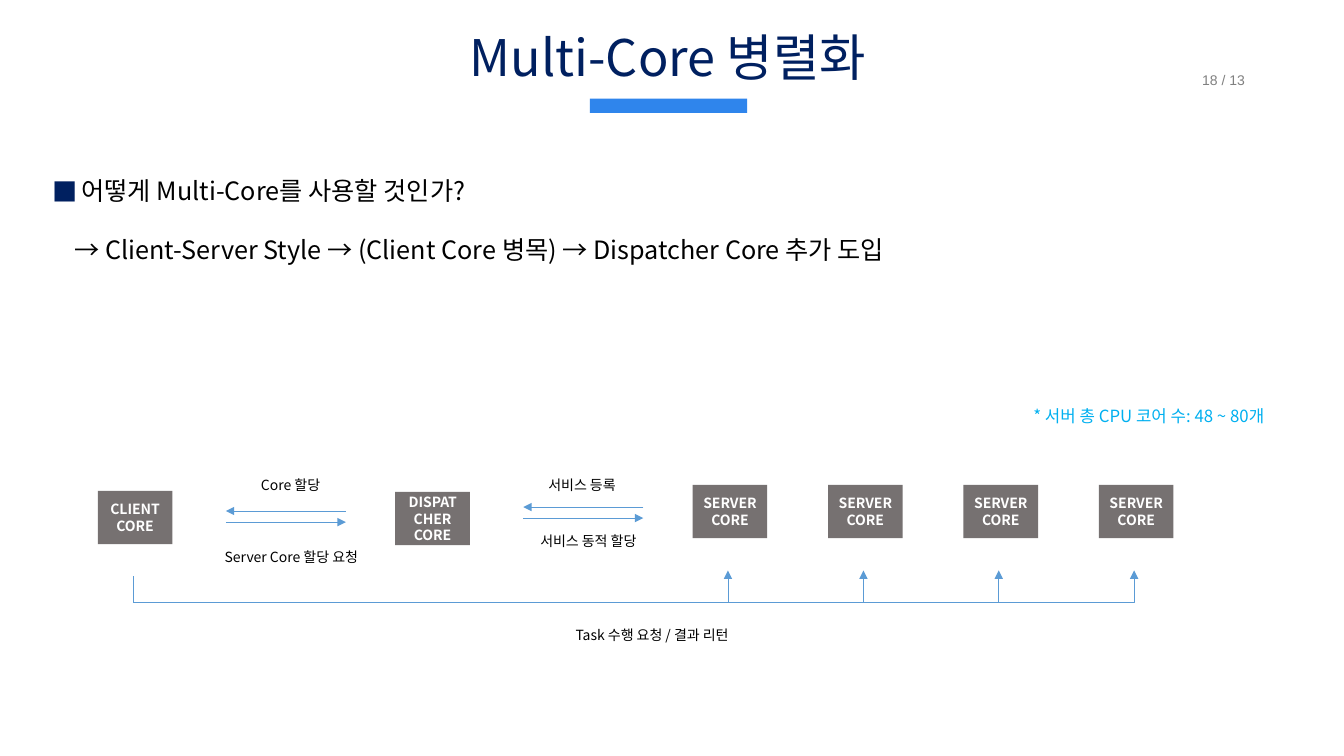
import pptx
import pptx.util
from lxml import etree
from pptx.dml.color import RGBColor
from pptx.enum.shapes import MSO_CONNECTOR, MSO_SHAPE
from pptx.enum.text import MSO_ANCHOR, PP_ALIGN
from pptx.oxml.ns import qn
from pptx.util import Inches

NAVY = RGBColor(0x00, 0x20, 0x60)
ACCENT_BLUE = RGBColor(0x2F, 0x85, 0xEC)
NOTE_BLUE = RGBColor(0x00, 0xB0, 0xF0)
ARROW_BLUE = RGBColor(0x5B, 0x9B, 0xD5)
CORE_GRAY = RGBColor(0x76, 0x71, 0x71)
PAGE_GRAY = RGBColor(0x80, 0x80, 0x80)
BLACK = RGBColor(0, 0, 0)
WHITE = RGBColor(255, 255, 255)
FONT = "Noto Sans CJK KR"


def write(shape, text, size, color, align=PP_ALIGN.LEFT, spacing=1.0, bold=False, font=FONT):
    text_frame = shape.text_frame
    text_frame.word_wrap = True
    text_frame.text = text
    for paragraph in text_frame.paragraphs:
        paragraph.alignment = align
        paragraph.line_spacing = spacing
        for run in paragraph.runs:
            run.font.name = font
            run.font.size = pptx.util.Pt(size)
            run.font.bold = bold
            run.font.color.rgb = color
            east_asian = etree.SubElement(run.font._element, qn("a:ea"))
            east_asian.set("typeface", font)
    return text_frame


def add_arrow(kind, x1, y1, x2, y2):
    arrow = slide.shapes.add_connector(kind, Inches(x1), Inches(y1), Inches(x2), Inches(y2))
    arrow.line.color.rgb = ARROW_BLUE
    arrow.line.width = pptx.util.Pt(0.5)
    etree.SubElement(arrow.line._get_or_add_ln(), qn("a:tailEnd")).set("type", "triangle")
    etree.SubElement(arrow._element.spPr, qn("a:effectLst"))
    return arrow


presentation = pptx.Presentation()
presentation.slide_width = Inches(13.33)
presentation.slide_height = Inches(7.5)
slide = presentation.slides.add_slide(presentation.slide_layouts[6])

# Title, accent bar and page number
bar = slide.shapes.add_shape(
    MSO_SHAPE.RECTANGLE, Inches(5.85), Inches(0.98), Inches(1.56), Inches(0.14))
bar.shadow.inherit = False
bar.fill.solid()
bar.fill.fore_color.rgb = ACCENT_BLUE
bar.line.fill.background()

title = slide.shapes.add_textbox(Inches(2.14), Inches(-0.13), Inches(8.97), Inches(1.45))
write(title, "Multi-Core 병렬화", 36, NAVY, PP_ALIGN.CENTER, 0.9)
title.text_frame.vertical_anchor = MSO_ANCHOR.MIDDLE

page_number = slide.shapes.add_textbox(Inches(11.54), Inches(0.65), Inches(1.19), Inches(0.29))
page_frame = write(page_number, "18 / 13", 10, PAGE_GRAY, PP_ALIGN.CENTER, font="Arial")
page_frame.margin_top = page_frame.margin_bottom = Inches(0.06)

# Question and answer
body = slide.shapes.add_textbox(Inches(0.42), Inches(1.45), Inches(11.2), Inches(1.93))
body_frame = write(
    body,
    "어떻게 Multi-Core를 사용할 것인가?\n"
    "→ Client-Server Style → (Client Core 병목) → Dispatcher Core 추가 도입",
    18, BLACK, spacing=1.8)
question, answer = body_frame.paragraphs
answer.space_before = pptx.util.Pt(3.6)
answer._p.get_or_add_pPr().set("marL", str(Inches(0.22)))
question_properties = question._p.get_or_add_pPr()
question_properties.set("marL", str(Inches(0.29)))
question_properties.set("indent", str(Inches(-0.29)))
bullet_color = etree.SubElement(question_properties, qn("a:buClr"))
etree.SubElement(bullet_color, qn("a:srgbClr")).set("val", str(NAVY))
etree.SubElement(question_properties, qn("a:buFont")).set("typeface", FONT)
etree.SubElement(question_properties, qn("a:buChar")).set("char", "■")

# Note on the core count
note = slide.shapes.add_textbox(Inches(9.65), Inches(3.82), Inches(3.16), Inches(0.51))
note_frame = write(note, "* 서버 총 CPU 코어 수: 48 ~ 80개", 12, NOTE_BLUE, spacing=1.8)
note_frame.paragraphs[0]._p.get_or_add_pPr().set("marL", str(Inches(0.5)))

# Core boxes
server_lefts = [6.87 + 1.343 * index for index in range(4)]
cores = [("CLIENT", 0.97, 4.87), ("DISPATCHER", 3.92, 4.88)]
cores += [("SERVER", left, 4.81) for left in server_lefts]
for role, left, top in cores:
    core = slide.shapes.add_shape(
        MSO_SHAPE.RECTANGLE, Inches(left), Inches(top), Inches(0.74), Inches(0.53))
    core.shadow.inherit = False
    core.fill.solid()
    core.fill.fore_color.rgb = CORE_GRAY
    core.line.fill.background()
    write(core, role + "\nCORE", 10, WHITE, PP_ALIGN.CENTER, bold=True)
    core.text_frame.vertical_anchor = MSO_ANCHOR.MIDDLE

# Message labels
for text, left, top, width in [
    ("Core 할당", 2.49, 4.68, 0.86),
    ("Server Core 할당 요청", 2.13, 5.39, 1.55),
    ("서비스 등록", 5.34, 4.68, 0.92),
    ("서비스 동적 할당", 5.26, 5.23, 1.22),
    ("Task 수행 요청 / 결과 리턴", 5.61, 6.17, 1.8),
]:
    label = slide.shapes.add_textbox(Inches(left), Inches(top), Inches(width), Inches(0.31))
    write(label, text, 10, BLACK)

# Two-way arrows between neighbouring cores
for left, top in [(2.24, 5.07), (5.19, 5.03)]:
    right = left + 1.19
    add_arrow(MSO_CONNECTOR.STRAIGHT, right, top, left, top)
    add_arrow(MSO_CONNECTOR.STRAIGHT, left, top + 0.11, right, top + 0.11)

# Elbow arrows from the client to each server, turned a quarter so they leave downwards
client_x, client_y, rise = 1.32, 5.72, 0.06
for left in server_lefts:
    server_x = left + 0.35
    center_x, center_y = (client_x + server_x) / 2, client_y - rise / 2
    half_span = (server_x - client_x) / 2
    elbow = add_arrow(
        MSO_CONNECTOR.ELBOW,
        center_x + rise / 2, center_y + half_span,
        center_x - rise / 2, center_y - half_span)
    properties = elbow._element.spPr
    properties.find(qn("a:xfrm")).set("rot", "5400000")
    adjustments = properties.find(qn("a:prstGeom")).find(qn("a:avLst"))
    bend = etree.SubElement(adjustments, qn("a:gd"))
    bend.set("name", "adj1")
    bend.set("fmla", "val -422000")

presentation.save("out.pptx")
